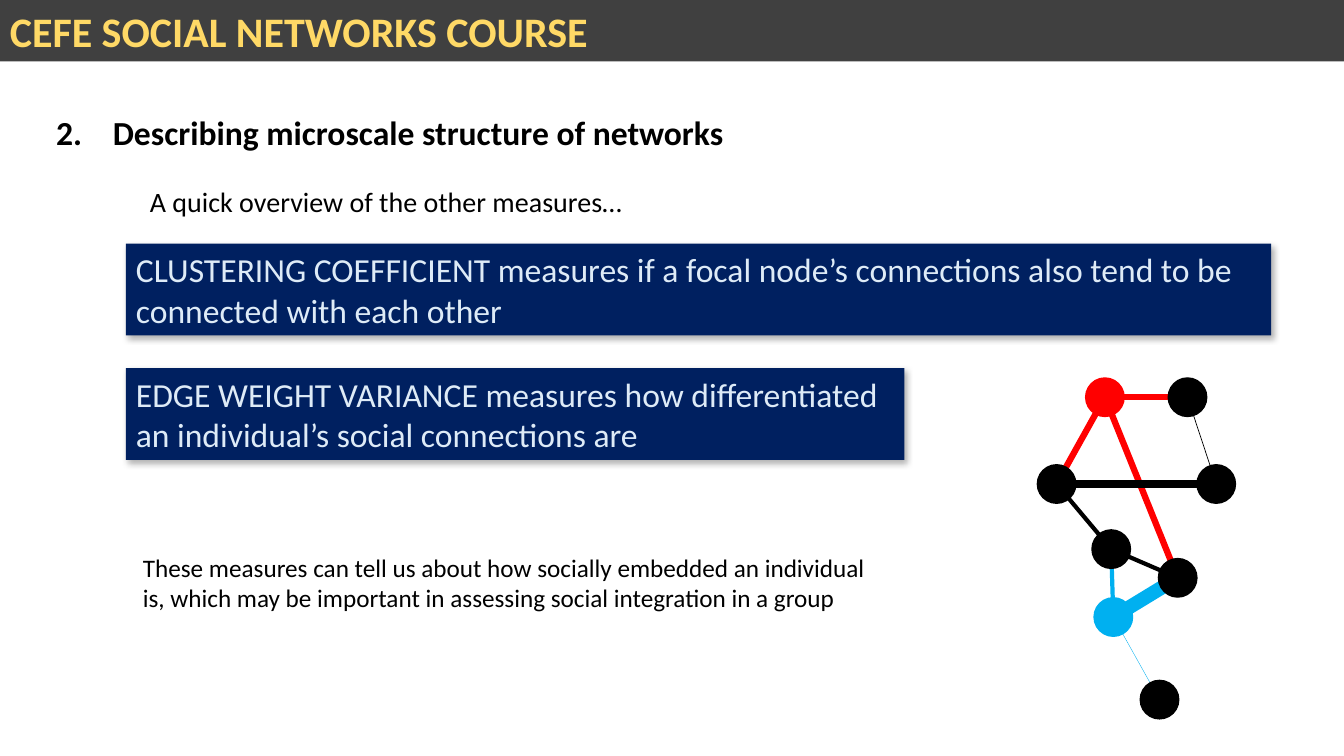
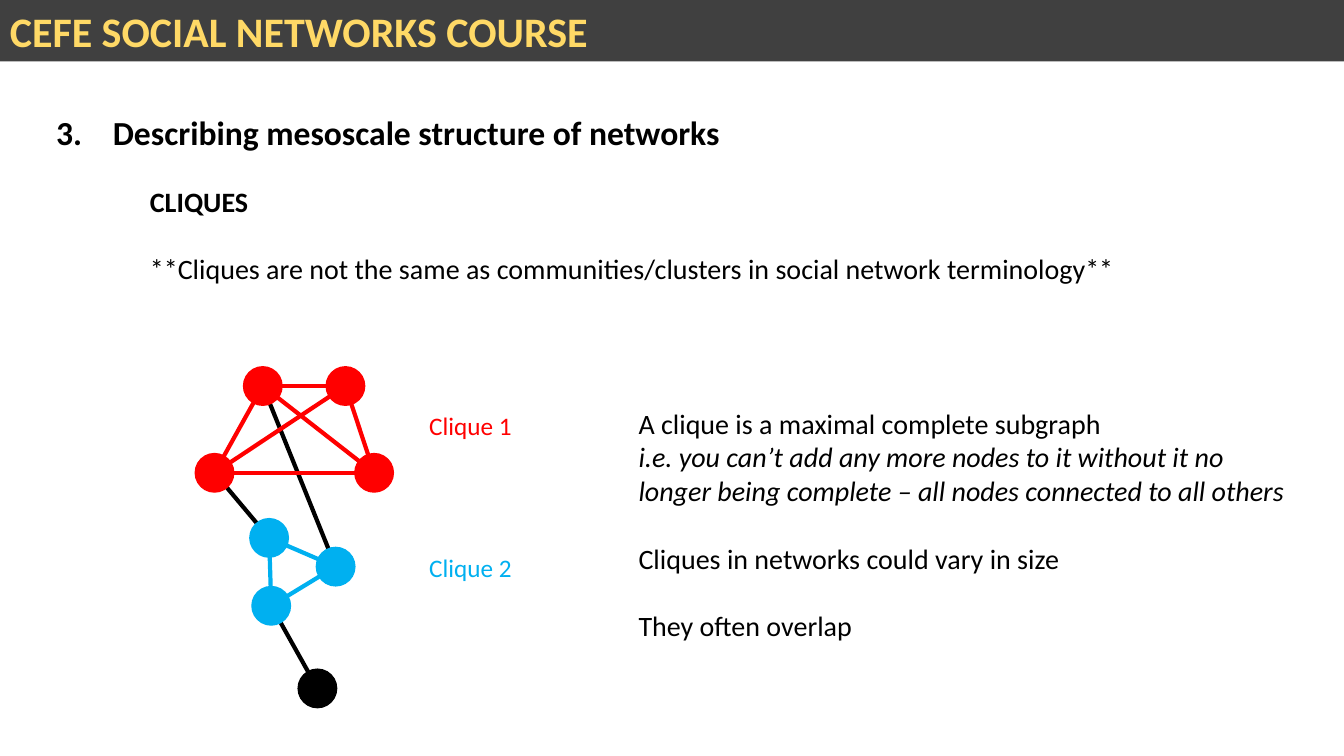
from lxml import etree
from pptx import Presentation
from pptx.dml.color import RGBColor
from pptx.enum.shapes import MSO_CONNECTOR as Line, MSO_SHAPE as Shape
from pptx.enum.text import MSO_ANCHOR as Anchor, PP_ALIGN as Align
from pptx.oxml.ns import qn
from pptx.util import Pt

COLORS = {
    "bar": "404040", "gold": "FFD966", "navy": "002060", "pale": "DEEBF7",
    "black": "000000", "red": "FF0000", "blue": "00B0F0",
}
RGB = {name: RGBColor.from_string(value) for name, value in COLORS.items()}
DIAMETER = 27.5
NODES = {
    "top_left": (34.5, 0), "top_right": (93.5, 0),
    "left": (0, 62), "right": (114, 62),
    "middle": (39, 108.5), "lower_right": (86.5, 129),
    "lower_left": (40.5, 157), "bottom": (73.5, 216),
}


def add_box(page, bounds, paragraphs, size, color="black", fill=None):
    lengths = [Pt(value) for value in bounds]
    if fill:
        box = page.shapes.add_shape(Shape.RECTANGLE, *lengths)
        box.shadow.inherit = False
        box.fill.solid()
        box.fill.fore_color.rgb = RGB[fill]
        box.line.fill.background()
    else:
        box = page.shapes.add_textbox(*lengths)
    frame = box.text_frame
    frame.word_wrap = True
    frame.vertical_anchor = Anchor.MIDDLE if fill else Anchor.TOP
    for index, (text, style, gap) in enumerate(paragraphs):
        para = frame.add_paragraph() if index else frame.paragraphs[0]
        para.alignment = Align.LEFT
        if gap:
            para.space_before = Pt(gap)
        span = para.add_run()
        span.text = text
        for name, value in {"name": "Calibri", "size": Pt(size), **style}.items():
            setattr(span.font, name, value)
        span.font.color.rgb = RGB[color]
    return box


def add_network(page, left, top, edges, node_colors):
    network = page.shapes.add_group_shape()
    radius = DIAMETER / 2
    for start, end, color, width in edges:
        points = [Pt(value + radius) for node in (start, end)
                  for value in (left + NODES[node][0], top + NODES[node][1])]
        edge = network.shapes.add_connector(Line.STRAIGHT, *points)
        edge.line.color.rgb = RGB[color]
        edge.line.width = Pt(width)
        etree.SubElement(edge._element.spPr, qn("a:effectLst"))
    for node, (x, y) in NODES.items():
        circle = network.shapes.add_shape(
            Shape.OVAL, Pt(left + x), Pt(top + y), Pt(DIAMETER), Pt(DIAMETER))
        circle.shadow.inherit = False
        circle.fill.solid()
        circle.fill.fore_color.rgb = RGB[node_colors.get(node, "black")]
        circle.line.color.rgb = circle.fill.fore_color.rgb
        circle.line.width = Pt(1)


deck = Presentation()
deck.slide_width, deck.slide_height = Pt(960), Pt(540)

pages = []
for number, heading in (
    (2, "Describing microscale structure of networks"),
    (3, "Describing mesoscale structure of networks"),
):
    page = deck.slides.add_slide(deck.slide_layouts[6])
    add_box(page, (0, 0, 960, 43.8), [("CEFE SOCIAL NETWORKS COURSE", {"bold": True}, 0)],
            30, "gold", "bar")
    box = add_box(page, (33, 76.5, 561, 36), [(heading, {"bold": True}, 0)], 24)
    properties = box.text_frame.paragraphs[0]._p.get_or_add_pPr()
    properties.set("marL", str(Pt(40.5)))
    properties.set("indent", str(-Pt(40.5)))
    etree.SubElement(properties, qn("a:buFont"), typeface="+mj-lt")
    etree.SubElement(properties, qn("a:buAutoNum"), type="arabicPeriod", startAt=str(number))
    pages.append(page)
micro, meso = pages

add_box(micro, (100, 128, 776, 55), [("A quick overview of the other measures…", {}, 0)], 20)
for top, width, text in (
    (174, 818, "CLUSTERING COEFFICIENT measures if a focal node’s connections "
               "also tend to be connected with each other"),
    (263, 556, "EDGE WEIGHT VARIANCE measures how differentiated "
               "an individual’s social connections are"),
):
    box = add_box(micro, (90, top, width, 65.5), [(text, {}, 0)], 24, "pale", "navy")
    effects = box._element.spPr.find(qn("a:effectLst"))
    shadow = etree.SubElement(
        effects, qn("a:outerShdw"), blurRad=str(Pt(4.5)), dist=str(Pt(2.6)),
        dir=str(53 * 60000), algn="tl", rotWithShape="0")
    tint = etree.SubElement(shadow, qn("a:srgbClr"), val=COLORS["black"])
    etree.SubElement(tint, qn("a:alpha"), val="30000")
add_box(micro, (95, 391, 545, 51), [
    ("These measures can tell us about how socially embedded an individual is, "
     "which may be important in assessing social integration in a group", {}, 0)], 18)
add_network(micro, 741, 270, [
    ("left", "top_left", "red", 4.5),
    ("top_right", "top_left", "red", 4.5),
    ("top_left", "lower_right", "red", 4.5),
    ("left", "right", "black", 6),
    ("top_right", "right", "black", 0.5),
    ("left", "middle", "black", 3),
    ("middle", "lower_left", "blue", 3),
    ("middle", "lower_right", "black", 3),
    ("lower_left", "lower_right", "blue", 10),
    ("lower_left", "bottom", "blue", 0.25),
], {"top_left": "red", "lower_left": "blue"})

add_box(meso, (100, 128, 776, 104), [
    ("CLIQUES", {"bold": True}, 0),
    ("**Cliques are not the same as communities/clusters in social network terminology**",
     {}, 24.4),
], 20)
cliques = {
    "red": ("top_left", "top_right", "left", "right"),
    "blue": ("middle", "lower_right", "lower_left"),
}
links = [("lower_left", "bottom"), ("left", "middle"), ("top_left", "lower_right")]
edges = [(start, end, "black", 3) for start, end in links]
edges += [(start, end, color, 3) for color, members in cliques.items()
          for index, start in enumerate(members) for end in members[index + 1:]]
add_network(meso, 139.5, 262, edges,
            {node: color for color, members in cliques.items() for node in members})
for text, color, top in (("Clique 1", "red", 289.5), ("Clique 2", "blue", 391)):
    add_box(meso, (299.5, top, 113, 29), [(text, {}, 0)], 18, color)
add_box(meso, (449, 286.5, 486, 177), [
    ("A clique is a maximal complete subgraph", {}, 0),
    ("i.e. you can’t add any more nodes to it without it no longer being complete "
     "– all nodes connected to all others", {"italic": True}, 0),
    ("Cliques in networks could vary in size", {}, 24.4),
    ("They often overlap", {}, 24.4),
], 20)

deck.save("out.pptx")
